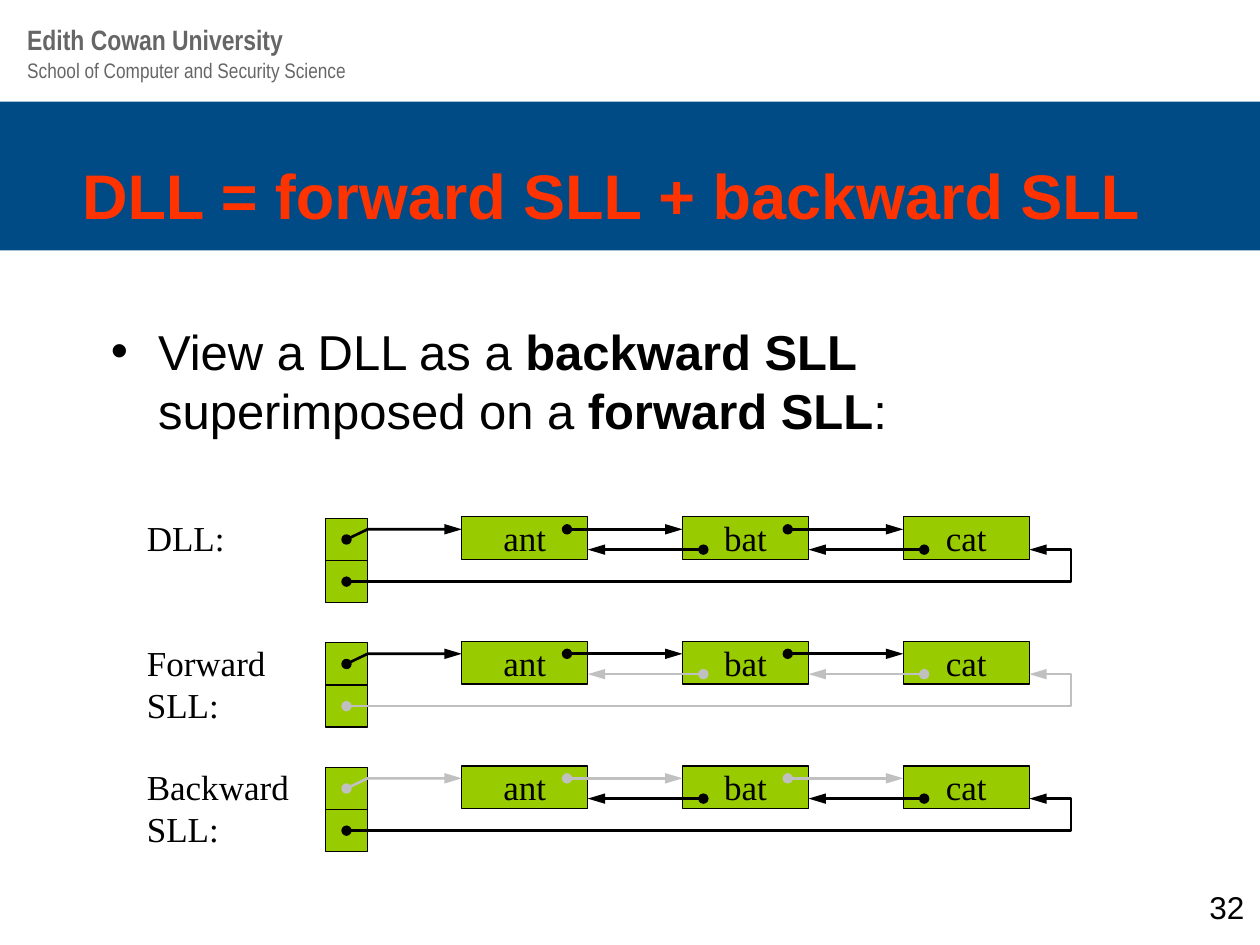
from lxml import etree
from pptx import Presentation
from pptx.dml.color import RGBColor
from pptx.enum.shapes import MSO_CONNECTOR, MSO_SHAPE
from pptx.enum.text import MSO_ANCHOR, MSO_AUTO_SIZE, PP_ALIGN
from pptx.oxml.ns import qn
from pptx.util import Cm, Pt

RECTANGLE = MSO_SHAPE.RECTANGLE
STRAIGHT = MSO_CONNECTOR.STRAIGHT
TOP, MIDDLE = MSO_ANCHOR.TOP, MSO_ANCHOR.MIDDLE
LEFT, CENTER = PP_ALIGN.LEFT, PP_ALIGN.CENTER
NO_AUTOFIT = MSO_AUTO_SIZE.NONE

BLUE = RGBColor(0x00, 0x4B, 0x85)
ORANGE = RGBColor(0xFF, 0x33, 0x00)
GREEN = RGBColor(0x99, 0xCC, 0x00)
BLACK = RGBColor(0x00, 0x00, 0x00)
DIM = RGBColor(0xC0, 0xC0, 0xC0)
GREY = RGBColor(0x66, 0x66, 0x66)

UNIVERSITY = {"name": "Arial Narrow", "size": Pt(16), "bold": True, "color": GREY}
SCHOOL = {"name": "Arial Narrow", "size": Pt(12), "color": GREY}
TITLE = {"name": "Arial", "size": Pt(36), "bold": True, "color": ORANGE}
BODY = {"name": "Arial", "size": Pt(28), "color": BLACK}
NUMBER = {"name": "Arial", "size": Pt(18), "color": BLACK}
DIAGRAM = {"name": "Times New Roman", "size": Pt(20), "color": BLACK}

FRAME = {"word_wrap": True, "auto_size": NO_AUTOFIT, "vertical_anchor": TOP}
TIGHT = {"margin_left": 0, "margin_right": 0, "margin_top": 0, "margin_bottom": 0}


def place(shape, box):
    for name, value in zip(("left", "top", "width", "height"), box):
        setattr(shape, name, Cm(value))


def write(shape, runs, font_format, alignment=LEFT, **frame_format):
    frame = shape.text_frame
    for name, value in {**FRAME, **frame_format}.items():
        setattr(frame, name, value)
    paragraph = frame.paragraphs[0]
    paragraph.alignment = alignment
    paragraph.space_before = Pt(0)
    for text, bold in runs:
        run = paragraph.add_run()
        run.text = text
        for name, value in {"bold": bold, **font_format}.items():
            if name == "color":
                run.font.color.rgb = value
            else:
                setattr(run.font, name, value)


def add_text(shapes, box, text, font_format, **frame_format):
    shape = shapes.add_textbox(*map(Cm, box))
    write(shape, [(text, False)], font_format, **frame_format)


def add_rectangle(shapes, box, fill, outline=True):
    shape = shapes.add_shape(RECTANGLE, *map(Cm, box))
    shape.shadow.inherit = False
    shape.fill.solid()
    shape.fill.fore_color.rgb = fill
    if outline:
        shape.line.color.rgb = BLACK
        shape.line.width = Pt(0.75)
    else:
        shape.line.fill.background()
    return shape


def add_pointer(shapes, points, color, arrow=True):
    points = [(Cm(x), Cm(y)) for x, y in points]
    if len(points) == 2:
        pointer = shapes.add_connector(STRAIGHT, *points[0], *points[1])
        etree.SubElement(pointer._element.spPr, qn("a:effectLst"))
    else:
        builder = shapes.build_freeform(*points[0])
        builder.add_line_segments(points[1:], close=False)
        pointer = builder.convert_to_shape()
        pointer.fill.background()
        pointer.shadow.inherit = False
    pointer.line.color.rgb = color
    pointer.line.width = Pt(1.5)
    line = pointer.line._get_or_add_ln()
    etree.SubElement(line, qn("a:headEnd"), type="oval", w="med", len="med")
    if arrow:
        etree.SubElement(line, qn("a:tailEnd"), type="triangle", w="med", len="lg")


def add_header(slide, box):
    left, top, width, height = box
    add_text(slide.shapes, (left, top + 0.71, width, 0.76),
             "School of Computer and Security Science", SCHOOL)
    add_text(slide.shapes, (left, top, width, 0.94),
             "Edith Cowan University", UNIVERSITY)


def add_title(slide, box):
    left, top, width, height = box
    title = slide.shapes.title
    band = add_rectangle(slide.shapes, box, BLUE, outline=False)
    title._element.addprevious(band._element)
    place(title, (left + 1.4, top + 0.91, 22.43, 1.9))
    write(title, [("DLL = forward SLL + backward SLL", True)], TITLE,
          vertical_anchor=MIDDLE)


def add_body(slide, box):
    body = slide.placeholders[1]
    place(body, box)
    write(body, [("View a DLL as a ", False), ("backward SLL", True),
                 (" superimposed on a ", False), ("forward SLL", True),
                 (":", False)], BODY)


def add_list_diagram(slide, box, label, forward, backward):
    left, top, width, height = box
    shapes = slide.shapes.add_group_shape().shapes
    cell, node_width, node_height, pitch = 0.85, 2.54, 0.86, 4.45
    cells_left, nodes_left = left + 3.6, left + 6.35
    right = left + width
    forward_y, backward_y = top + 0.25, top + 0.66
    words = ["ant", "bat", "cat"]
    last = len(words) - 1
    node_lefts = [nodes_left + index * pitch for index in range(len(words))]

    for index in range(2):
        add_rectangle(shapes, (cells_left, top + 0.03 + index * cell, cell, cell), GREEN)
    for word, x in zip(words, node_lefts):
        node = add_rectangle(shapes, (x, top, node_width, node_height), GREEN)
        write(node, [(word, False)], DIAGRAM, CENTER, **TIGHT)

    for index, x in enumerate(node_lefts):
        start = x + 2.12
        end = start if index == last else node_lefts[index + 1]
        add_pointer(shapes, [(start, forward_y), (end, forward_y)], forward, index < last)
        start = x + 0.42
        end = start if index == 0 else node_lefts[index - 1] + node_width
        add_pointer(shapes, [(start, backward_y), (end, backward_y)], backward, index > 0)

    dot_x = cells_left + cell / 2
    first_y = top + 0.03 + cell / 2
    second_y = first_y + cell
    add_pointer(shapes, [(dot_x, first_y), (cells_left + cell, forward_y),
                         (nodes_left, forward_y)], forward)
    add_pointer(shapes, [(dot_x, second_y), (right, second_y), (right, backward_y),
                         (node_lefts[-1] + node_width, backward_y)], backward)
    add_text(shapes, (left, top, 2.96, height), label, DIAGRAM, **TIGHT)


def main():
    presentation = Presentation()
    presentation.slide_width, presentation.slide_height = Cm(25.4), Cm(19.05)
    slide = presentation.slides.add_slide(presentation.slide_layouts[1])
    add_header(slide, (0.3, 0.33, 14.96, 1.47))
    add_title(slide, (0, 2.05, 25.4, 3))
    add_body(slide, (1.98, 6.35, 21.59, 2.74))
    rows = [("DLL:", BLACK, BLACK), ("Forward SLL:", BLACK, DIM),
            ("Backward SLL:", DIM, BLACK)]
    for index, row in enumerate(rows):
        add_list_diagram(slide, (2.96, 10.42 + index * 2.51, 18.63, 1.7), *row)
    add_text(slide.shapes, (24.13, 17.78, 1.27, 0.84), "32", NUMBER)
    presentation.save("out.pptx")


if __name__ == "__main__":
    main()
